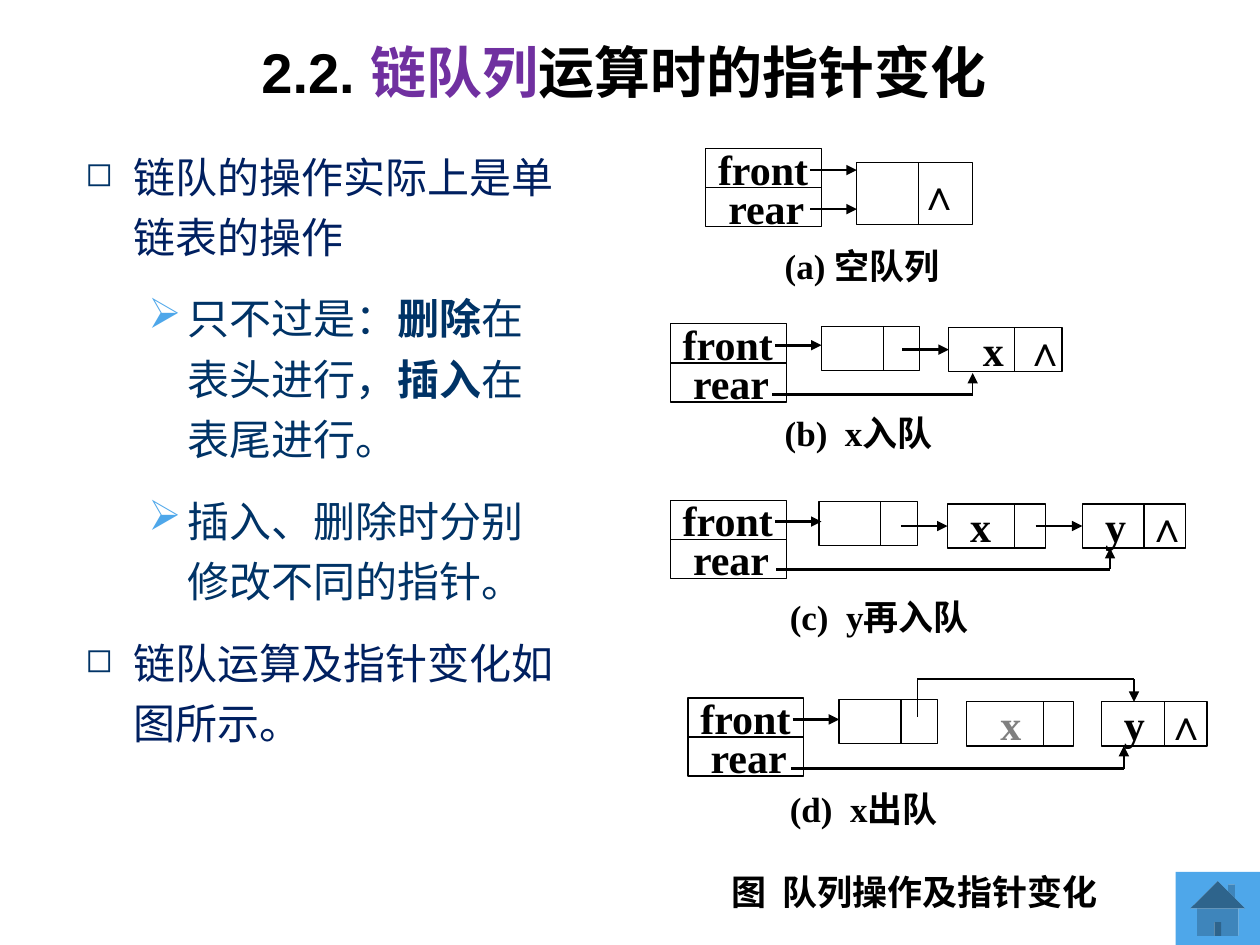
from lxml import etree
from pptx import Presentation
from pptx.dml.color import RGBColor
from pptx.enum.shapes import MSO_CONNECTOR, MSO_SHAPE
from pptx.enum.text import MSO_ANCHOR, PP_ALIGN
from pptx.oxml.ns import qn
from pptx.util import Inches, Pt

STRAIGHT = MSO_CONNECTOR.STRAIGHT
RECT, HOME = MSO_SHAPE.RECTANGLE, MSO_SHAPE.ACTION_BUTTON_HOME
MIDDLE, TOP = MSO_ANCHOR.MIDDLE, MSO_ANCHOR.TOP
LEFT, CENTER, RIGHT = PP_ALIGN.LEFT, PP_ALIGN.CENTER, PP_ALIGN.RIGHT
SANS, SERIF, CJK = "Arial", "Times New Roman", "Noto Sans CJK SC"
COLORS = {"black": "000000", "purple": "7030A0", "navy": "002060",
          "teal": "003366", "sky": "4EA7EA", "gray": "808080"}

# Content
TITLE = [("2.2. ", "black"), ("链队列", "purple"), ("运算时的指针变化", "black")]
# (level, [(text, bold)])
POINTS = [
    (0, [("链队的操作实际上是单链表的操作", False)]),
    (1, [("只不过是：", False), ("删除", True), ("在表头进行，", False),
         ("插入", True), ("在表尾进行。", False)]),
    (1, [("插入、删除时分别修改不同的指针。", False)]),
    (0, [("链队运算及指针变化如图所示。", False)]),
]
# level: bullet, bullet size, bullet colour, text colour, left margin, hanging indent
LEVELS = [("◻", "80000", "teal", "navy", 0.38, 0.38),
          ("➢", "100000", "sky", "teal", 0.81, 0.31)]
FIGURE_TITLE = "图  队列操作及指针变化"
# pointers: left, top of the front/rear pair
# nodes: left, top, width, divider offset, value, colour, text inset, last, arrow in
# rear: start x, end x, y, y of the arrow tip
STAGES = [
    {"caption": ("(a) 空队列", 6.13, 1.92), "pointers": (5.6, 1.18), "nodes": [], "rear": None},
    {"caption": ("(b)  x入队", 6.13, 3.24), "pointers": (5.32, 2.57),
     "nodes": [(6.52, 2.59, 0.78, 0.49, "", "black", 0.1, False, False),
               (7.53, 2.6, 0.9, 0.52, "x", "black", 0.27, True, True)],
     "rear": (6.13, 7.72, 3.13, 2.96)},
    {"caption": ("(c)  y再入队", 6.17, 4.7), "pointers": (5.32, 3.97),
     "nodes": [(6.5, 3.98, 0.78, 0.49, "", "black", 0.1, False, False),
               (7.52, 4, 0.78, 0.53, "x", "black", 0.18, False, True),
               (8.59, 4, 0.82, 0.49, "y", "black", 0.18, True, True)],
     "rear": (6.16, 8.81, 4.52, 4.35)},
    {"caption": ("(d)  x出队", 6.17, 6.23), "pointers": (5.46, 5.54),
     "nodes": [(6.66, 5.55, 0.78, 0.49, "", "black", 0.1, False, False),
               (7.67, 5.57, 0.85, 0.61, "x", "gray", 0.27, False, False),
               (8.74, 5.57, 0.84, 0.5, "y", "black", 0.18, True, False)],
     "rear": (6.28, 8.92, 6.1, 5.92)},
]
POINTER_W, POINTER_H, NODE_H, ARROW = 0.92, 0.31, 0.35, 0.37
NULL_GAP = 0.33
CAPTION_W, CAPTION_H = 1.9, 0.38

prs = Presentation()
prs.slide_width, prs.slide_height = Inches(10), Inches(7.5)
slide = prs.slides.add_slide(prs.slide_layouts[5])
shapes = slide.shapes


def rgb(name):
    return RGBColor.from_string(COLORS[name])


def add_run(paragraph, text, size, font, color="black", bold=True, east_asian=CJK):
    run = paragraph.add_run()
    run.text = text
    run.font.size, run.font.name, run.font.bold = Pt(size), font, bold
    run.font.color.rgb = rgb(color)
    etree.SubElement(run.font._element, qn("a:ea")).set("typeface", east_asian)


def set_frame(shape, anchor=MIDDLE, wrap=True, align=LEFT, inset=0.1):
    frame = shape.text_frame
    frame.word_wrap, frame.vertical_anchor = wrap, anchor
    frame.margin_left = Inches(inset)
    frame.paragraphs[0].alignment = align
    return frame.paragraphs[0]


def add_label(box, text, size, font, align=LEFT):
    label = shapes.add_textbox(*map(Inches, box))
    add_run(set_frame(label, align=align), text, size, font)


def add_cell(x, y, w, h, inset=0.1, align=LEFT):
    cell = shapes.add_shape(RECT, *map(Inches, (x, y, w, h)))
    cell.shadow.inherit = False
    cell.fill.background()
    cell.line.color.rgb, cell.line.width = rgb("black"), Pt(0.75)
    return cell, set_frame(cell, wrap=False, inset=inset, align=align)


def add_line(x1, y1, x2, y2, width=0.75, arrow=False):
    line = shapes.add_connector(STRAIGHT, *map(Inches, (x1, y1, x2, y2)))
    line.line.color.rgb, line.line.width = rgb("black"), Pt(width)
    if arrow:
        etree.SubElement(line.line._get_or_add_ln(), qn("a:tailEnd")).set("type", "triangle")
    etree.SubElement(line._element.spPr, qn("a:effectLst"))
    return line


def add_pointers(x, y):
    for row, (name, inset) in enumerate((("front", 0.1), ("rear", 0.18))):
        _, paragraph = add_cell(x, y + row * POINTER_H, POINTER_W, POINTER_H, inset)
        add_run(paragraph, name, 24, SERIF)
    add_line(x + 0.83, y + 0.17, x + 1.2, y + 0.17, 1.5, True)


def add_node(x, y, w, divider, value, color, inset, last, arrow_in):
    cell, paragraph = add_cell(x, y, w, NODE_H, inset)
    if last:
        tabs = etree.SubElement(paragraph._p.get_or_add_pPr(), qn("a:tabLst"))
        etree.SubElement(tabs, qn("a:tab"), pos=str(Inches(NULL_GAP)), algn="l")
        value += "\t∧"
    if value:
        add_run(paragraph, value, 24, SERIF, color)
    add_line(x + divider, y, x + divider, y + NODE_H)
    if arrow_in:
        middle = y + NODE_H / 2
        add_line(x - ARROW, middle, x, middle, 1.5, True).end_connect(cell, 1)


# Title
title = shapes.title
title.left, title.top, title.width, title.height = map(Inches, (1.08, 0.3, 7.75, 0.53))
heading = set_frame(title, align=CENTER)
for text, color in TITLE:
    add_run(heading, text, 32, SANS, color)

# Bullet points
body = shapes.add_textbox(*map(Inches, (0.58, 1.07, 3.96, 5.93)))
paragraph = set_frame(body, anchor=TOP)
for i, (level, runs) in enumerate(POINTS):
    bullet, bullet_size, bullet_color, color, margin, hanging = LEVELS[level]
    if i:
        paragraph = body.text_frame.add_paragraph()
        paragraph.space_before = Pt(12)
    paragraph.level, paragraph.line_spacing = level, 1.2
    props = paragraph._p.get_or_add_pPr()
    props.set("marL", str(Inches(margin)))
    props.set("indent", str(-Inches(hanging)))
    tint = etree.SubElement(props, qn("a:buClr"))
    etree.SubElement(tint, qn("a:srgbClr")).set("val", COLORS[bullet_color])
    etree.SubElement(props, qn("a:buSzPct")).set("val", bullet_size)
    etree.SubElement(props, qn("a:buChar")).set("char", bullet)
    for text, bold in runs:
        add_run(paragraph, text, 24, SANS, color, bold, east_asian=SANS)

# Queue stages
for stage in STAGES:
    caption, x, y = stage["caption"]
    add_label((x, y, CAPTION_W, CAPTION_H), caption, 20, SERIF)
    add_pointers(*stage["pointers"])
    for node in stage["nodes"]:
        add_node(*node)
    if stage["rear"]:
        start, end, y, tip = stage["rear"]
        add_line(start, y, end, y, 1.5)
        add_line(end, y, end, tip, arrow=True)

# Empty queue: rear also points to the head node
_, empty = add_cell(6.8, 1.29, 0.92, 0.49, align=RIGHT)
add_run(empty, "∧", 24, SERIF)
add_line(7.29, 1.29, 7.29, 1.78)
add_line(6.43, 1.66, 6.8, 1.66, 1.5, True)

# Dequeue: head node bypasses x
add_line(7.28, 5.69, 7.28, 5.39)
add_line(7.28, 5.39, 9, 5.39)
add_line(9, 5.39, 9, 5.57, arrow=True)

# Figure title and home button
add_label((5.53, 6.9, 3.46, 0.35), FIGURE_TITLE, 20, CJK, CENTER)
home = shapes.add_shape(HOME, *map(Inches, (9.33, 6.92, 0.67, 0.58)))
home.shadow.inherit = False
home.fill.solid()
home.fill.fore_color.rgb = rgb("sky")
home.line.fill.background()

prs.save("out.pptx")
